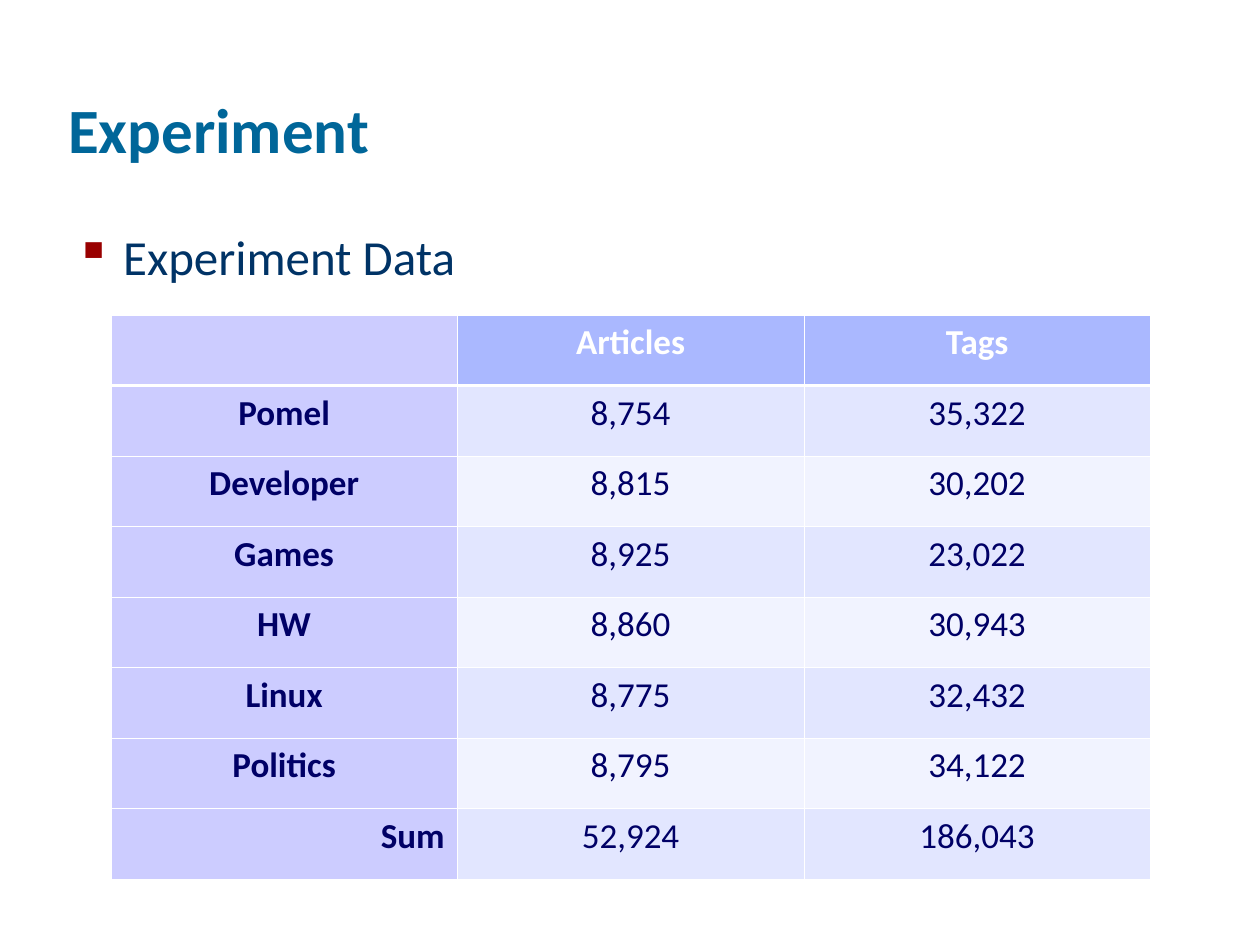
"""Build the Experiment slide with its table of articles and tags."""
from lxml.etree import SubElement
from pptx import Presentation
from pptx.dml.color import RGBColor
from pptx.enum.text import MSO_ANCHOR, PP_ALIGN
from pptx.oxml.ns import qn
from pptx.util import Inches, Pt

COLORS = {
    "title": "006699", "body": "003366", "bullet": "990000",
    "white": "FFFFFF", "cell_text": "000066", "label": "CCCCFF",
    "header": "AAB8FF", "odd": "E2E6FF", "even": "F1F3FF",
}
ROWS = [
    ("", "Articles", "Tags"),
    ("Pomel", "8,754", "35,322"),
    ("Developer", "8,815", "30,202"),
    ("Games", "8,925", "23,022"),
    ("HW", "8,860", "30,943"),
    ("Linux", "8,775", "32,432"),
    ("Politics", "8,795", "34,122"),
    ("Sum", "52,924", "186,043"),
]


def add_run(p, text, size, color, bold=False):
    r = p.add_run()
    r.text = text
    r.font.name = "Calibri"
    r.font.size = Pt(size)
    r.font.bold = bold
    r.font.color.rgb = RGBColor.from_string(COLORS[color])


def add_border(cell, side, width):
    ln = SubElement(cell._tc.get_or_add_tcPr(), qn(f"a:ln{side}"), w=str(Pt(width)))
    fill = SubElement(ln, qn("a:solidFill"))
    SubElement(fill, qn("a:srgbClr"), val=COLORS["white"])


prs = Presentation()
prs.slide_width, prs.slide_height = Inches(10), Inches(7.5)
s = prs.slides.add_slide(prs.slide_layouts[5])

title = s.shapes.title
title.left, title.top = Inches(0.44), Inches(0.12)
title.width, title.height = Inches(8.5), Inches(1.25)
tf = title.text_frame
tf.vertical_anchor = MSO_ANCHOR.BOTTOM
p = tf.paragraphs[0]
p.alignment = PP_ALIGN.LEFT
add_run(p, "Experiment", 36, "title", True)

body = s.shapes.add_textbox(Inches(0.5), Inches(1.75), Inches(8.94), Inches(4.88))
tf = body.text_frame
tf.word_wrap = True
p = tf.paragraphs[0]
pPr = p._p.get_or_add_pPr()
pPr.set("marL", str(Inches(0.38)))
pPr.set("indent", str(Inches(-0.38)))
SubElement(SubElement(pPr, qn("a:buClr")), qn("a:srgbClr"), val=COLORS["bullet"])
SubElement(pPr, qn("a:buChar"), char="▪")
add_run(p, "Experiment Data", 28, "body")

table = s.shapes.add_table(len(ROWS), len(ROWS[0]), Inches(0.88), Inches(2.5),
                           Inches(8.25), Inches(4.48)).table
for i, row in enumerate(ROWS):
    table.rows[i].height = Inches(0.56)
    for j, text in enumerate(row):
        cell = table.cell(i, j)
        for side in "LRTB":
            heavy = (i, side) in ((0, "B"), (1, "T"))
            add_border(cell, side, 1.47 if heavy else 0.45)
        if j == 0:
            fill = "label"
        elif i == 0:
            fill = "header"
        else:
            fill = "odd" if i % 2 else "even"
        cell.fill.solid()
        cell.fill.fore_color.rgb = RGBColor.from_string(COLORS[fill])
        if text:
            p = cell.text_frame.paragraphs[0]
            p.alignment = PP_ALIGN.RIGHT if text == "Sum" else PP_ALIGN.CENTER
            add_run(p, text, 20, "white" if i == 0 else "cell_text", i == 0 or j == 0)

prs.save("out.pptx")
